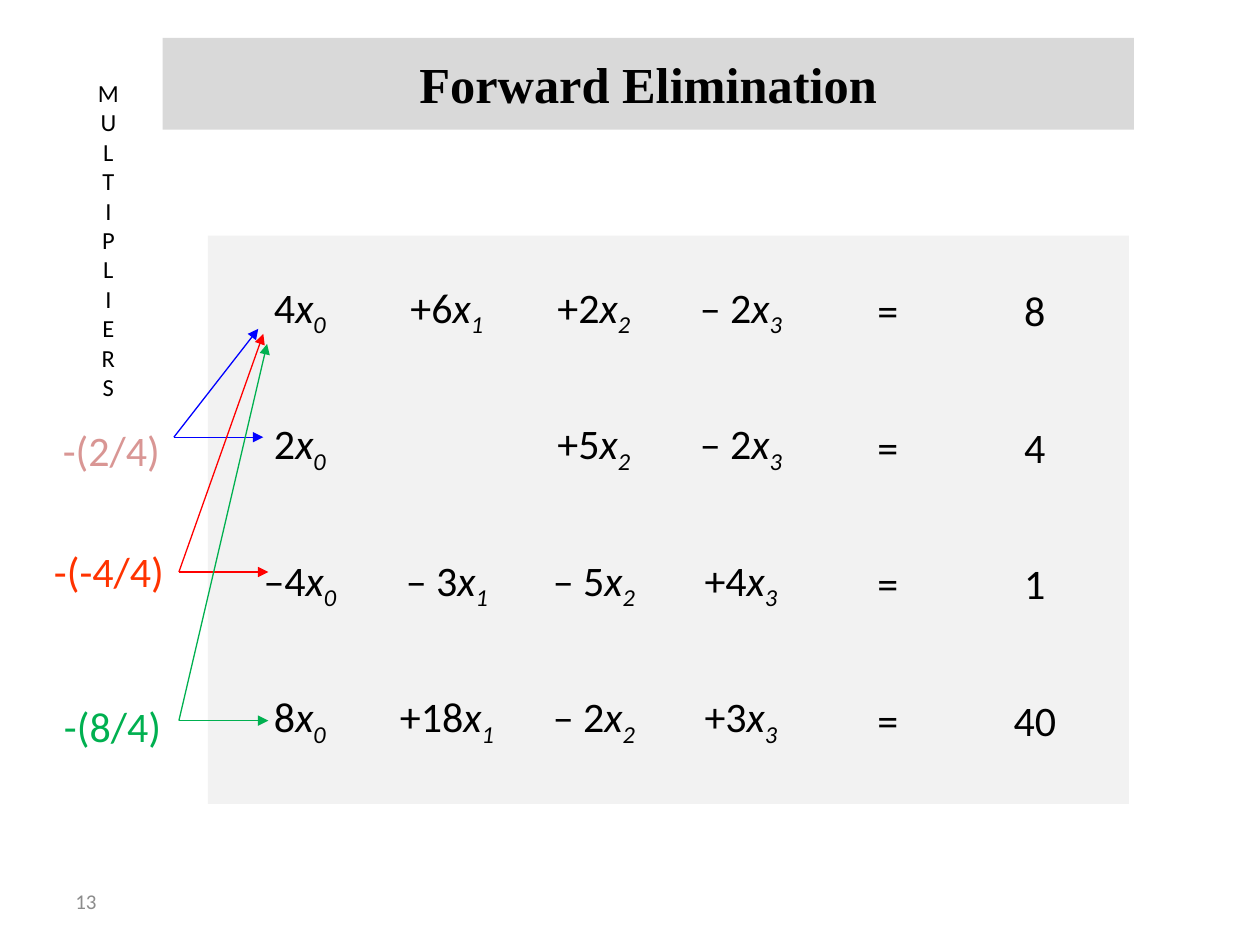
from lxml import etree
from pptx import Presentation
from pptx.dml.color import RGBColor
from pptx.enum.shapes import MSO_CONNECTOR, MSO_SHAPE
from pptx.enum.text import MSO_ANCHOR, MSO_AUTO_SIZE, PP_ALIGN
from pptx.oxml.ns import qn
from pptx.util import Inches, Pt

SLIDE_W, SLIDE_H = 10, 7.5
CELL = 0.92
LEFT, TOP = 1.92, 2
COL_PITCH, ROW_PITCH = 7 / 6, 13 / 12


def rgb(value):
    """Turn a hex string into a colour."""
    return RGBColor.from_string(value)


def add_label(box, lines, size, color="000000", align=PP_ALIGN.LEFT,
              anchor=MSO_ANCHOR.TOP, fill=None):
    """Add an unwrapped text box; each line is a list of (text, style) runs."""
    label = slide.shapes.add_textbox(*map(Inches, box))
    if fill:
        label.fill.solid()
        label.fill.fore_color.rgb = rgb(fill)
    frame = label.text_frame
    frame.word_wrap = False
    frame.vertical_anchor = anchor
    if align == PP_ALIGN.CENTER:
        # Centred text may use the full width of its box
        frame.margin_left = frame.margin_right = 0
    for i, line in enumerate(lines):
        paragraph = frame.add_paragraph() if i else frame.paragraphs[0]
        paragraph.alignment = align
        for text, style in line:
            run = paragraph.add_run()
            run.text = text
            run.font.name = "Calibri"
            run.font.size = Pt(size)
            run.font.color.rgb = rgb(color)
            if style != "plain":
                run.font.italic = True
            if style == "subscript":
                run.font._element.set("baseline", "-25000")


prs = Presentation()
prs.slide_width, prs.slide_height = Inches(SLIDE_W), Inches(SLIDE_H)
slide = prs.slides.add_slide(prs.slide_layouts[5])

# Title bar
title = slide.shapes.title
title.left, title.top, title.width, title.height = map(Inches, (1.29, 0.3, 7.71, 0.73))
title.fill.solid()
title.fill.fore_color.rgb = rgb("D9D9D9")
title.text_frame.text = "Forward Elimination"
title.text_frame.auto_size = MSO_AUTO_SIZE.NONE
title.text_frame.vertical_anchor = MSO_ANCHOR.MIDDLE
heading = title.text_frame.paragraphs[0]
heading.alignment = PP_ALIGN.CENTER
font = heading.runs[0].font
font.name, font.size, font.bold = "Times New Roman", Pt(28.8), True
font.color.rgb = rgb("000000")

# Panel behind the equations
panel = slide.shapes.add_shape(MSO_SHAPE.RECTANGLE, *map(Inches, (1.65, 1.87, 7.31, 4.51)))
panel.shadow.inherit = False
panel.fill.solid()
panel.fill.fore_color.rgb = rgb("F2F2F2")
panel.line.fill.background()

# Slide number
add_label((0.5, 6.95, 2.33, 0.4), [[("13", "plain")]], 12, "8C8C8C",
          anchor=MSO_ANCHOR.MIDDLE)

# Equations: four coefficients, the equals sign and the right-hand side
equations = [
    ["4", "+6", "+2", "– 2", "=", "8"],
    ["2", "", "+5", "– 2", "=", "4"],
    ["–4", "– 3", "– 5", "+4", "=", "1"],
    ["8", "+18", "– 2", "+3", "=", "40"],
]
for row, equation in enumerate(equations):
    for col, term in enumerate(equation):
        if not term:
            continue
        runs = [(term, "plain")]
        if col < 4:
            runs += [("x", "italic"), (str(col), "subscript")]
        box = (LEFT + col * COL_PITCH, TOP + row * ROW_PITCH, CELL, CELL)
        add_label(box, [runs], 24, align=PP_ALIGN.CENTER, anchor=MSO_ANCHOR.MIDDLE)

# Multipliers, each with arrows to the pivot row and to its own row
add_label((0.67, 0.57, 0.38, 2.66), [[(letter, "plain")] for letter in "MULTIPLIERS"],
          14, align=PP_ALIGN.CENTER, fill="FFFFFF")
multipliers = [
    ("-(2/4)", (0.4, 3.32, 0.97, 0.51), "D99694", "0000FF",
     (1.38, 3.47), (2.05, 2.61)),
    ("-(-4/4)", (0.33, 4.28, 1.08, 0.51), "FF3300", "FF0000",
     (1.42, 4.54), (2.09, 2.65)),
    ("-(8/4)", (0.41, 5.51, 0.97, 0.51), "00B050", "00B050",
     (1.42, 5.72), (2.12, 2.73)),
]
for text, box, text_color, line_color, start, pivot in multipliers:
    add_label(box, [[(text, "plain")]], 24, text_color, fill="FFFFFF")
    own_row = (start[0] + 0.71, start[1])
    for end in (pivot, own_row):
        arrow = slide.shapes.add_connector(
            MSO_CONNECTOR.STRAIGHT, *map(Inches, start + end))
        arrow.line.color.rgb = rgb(line_color)
        arrow.line.width = Pt(0.75)
        etree.SubElement(arrow.line._get_or_add_ln(), qn("a:tailEnd"), type="triangle")
        etree.SubElement(arrow._element.spPr, qn("a:effectLst"))

prs.save("out.pptx")
